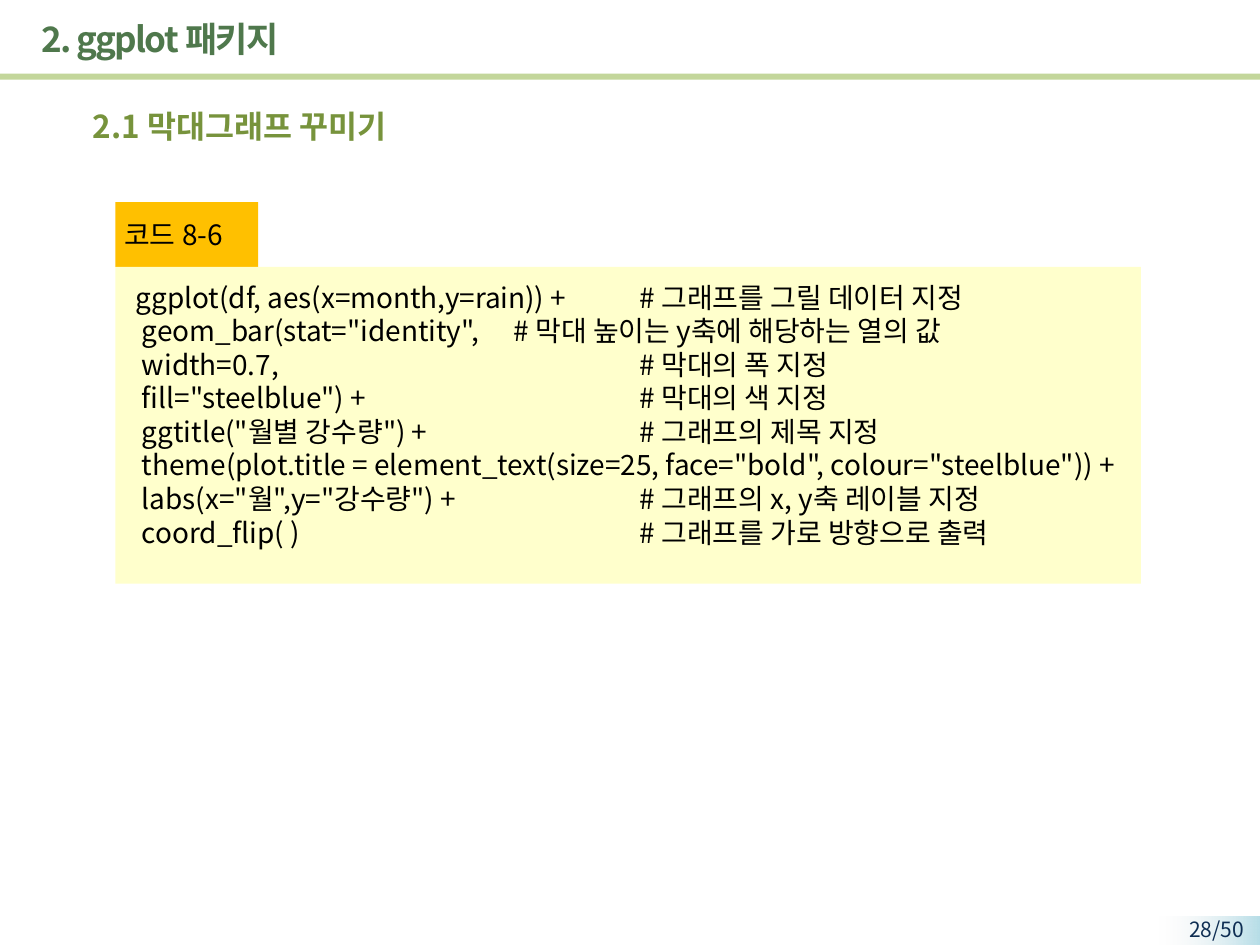
from pptx import Presentation
from pptx.dml.color import RGBColor
from pptx.enum.shapes import MSO_SHAPE
from pptx.enum.text import MSO_ANCHOR, PP_ALIGN
from pptx.oxml import parse_xml
from pptx.oxml.ns import nsdecls, qn
from pptx.util import Pt

FONT = "Noto Sans CJK KR"
BLACK = RGBColor(0x00, 0x00, 0x00)
TITLE_GREEN = RGBColor(0x4F, 0x78, 0x4C)
HEADING_GREEN = RGBColor(0x77, 0x93, 0x3C)
RULE_GREEN = RGBColor(0xC3, 0xD6, 0x9B)
ORANGE = RGBColor(0xFF, 0xC0, 0x00)
CREAM = RGBColor(0xFF, 0xFF, 0xCC)
NAVY = RGBColor(0x0F, 0x2E, 0x53)
PALE_BLUE = RGBColor(0xB7, 0xDE, 0xE8)
PALE_GREY = RGBColor(0xF2, 0xF2, 0xF2)

LINE_FACTOR = 1.2
NEAR_TAB, FAR_TAB = 216, 288
CODE_LINES = [
    ("ggplot(df, aes(x=month,y=rain)) +", "# 그래프를 그릴 데이터 지정", FAR_TAB),
    (' geom_bar(stat="identity",', "# 막대 높이는 y축에 해당하는 열의 값", NEAR_TAB),
    (" width=0.7,", "# 막대의 폭 지정", FAR_TAB),
    (' fill="steelblue") +', "# 막대의 색 지정", FAR_TAB),
    (' ggtitle("월별 강수량") +', "# 그래프의 제목 지정", FAR_TAB),
    (' theme(plot.title = element_text(size=25, face="bold", colour="steelblue")) +', "", None),
    (' labs(x="월",y="강수량") +', "# 그래프의 x, y축 레이블 지정", FAR_TAB),
    (" coord_flip( )", "# 그래프를 가로 방향으로 출력", FAR_TAB),
]


def write_line(para, text, size, color, bold=False, align=PP_ALIGN.LEFT, tab=None, spacing=None):
    """Fill one paragraph with a formatted span of text."""
    para.alignment = align
    para.line_spacing = Pt(size * LINE_FACTOR)
    if tab:
        para._p.get_or_add_pPr().append(parse_xml(
            f'<a:tabLst {nsdecls("a")}><a:tab pos="{Pt(tab)}" algn="l"/></a:tabLst>'))
    span = para.add_run()
    span.text = text
    span.font.name, span.font.size, span.font.bold = FONT, Pt(size), bold
    span.font.color.rgb = color
    properties = span._r.get_or_add_rPr()
    properties.find(qn("a:latin")).addnext(
        parse_xml(f'<a:ea {nsdecls("a")} typeface="{FONT}"/>'))
    if spacing is not None:
        properties.set("spc", str(spacing * 100))


def add_text(page, area, text, wrap=True, **style):
    """Add a text box holding one formatted paragraph."""
    frame = page.shapes.add_textbox(*map(Pt, area)).text_frame
    frame.word_wrap = wrap
    write_line(frame.paragraphs[0], text, **style)
    return frame


def add_block(page, area, color=None):
    """Add a rectangle without outline or shadow."""
    block = page.shapes.add_shape(MSO_SHAPE.RECTANGLE, *map(Pt, area))
    block.shadow.inherit = False
    block.line.fill.background()
    if color is not None:
        block.fill.solid()
        block.fill.fore_color.rgb = color
    return block


def add_header(page, left, top, width, height):
    """Place the slide title above a full-width green rule."""
    add_block(page, (left, top + height - 3.5, width, 3.5), RULE_GREEN)
    title = page.shapes.title
    title.left, title.top = Pt(left + 16.5), Pt(top + 3)
    title.width, title.height = Pt(612.5), Pt(37.5)
    title.text_frame.vertical_anchor = MSO_ANCHOR.MIDDLE
    write_line(title.text_frame.paragraphs[0], "2. ggplot 패키지", size=20,
               color=TITLE_GREEN, bold=True, spacing=-1)


def add_code_panel(page, left, top, width, height):
    """Place the code label tab and the listing panel below it."""
    tab_height = 37
    add_block(page, (left, top, 81.5, tab_height), ORANGE)
    add_block(page, (left, top + tab_height, width, height - tab_height), CREAM)
    style = dict(size=16, color=BLACK)
    add_text(page, (left - 2, top + 5, 77, 26.5), "코드 8-6", wrap=False, **style)
    listing = page.shapes.add_textbox(
        Pt(left + 4.5), Pt(top + 41), Pt(576), Pt(163)).text_frame
    listing.word_wrap = True
    for index, (code, comment, tab) in enumerate(CODE_LINES):
        para = listing.add_paragraph() if index else listing.paragraphs[0]
        write_line(para, f"{code}\t{comment}" if comment else code, tab=tab, **style)


def add_page_number(page, left, top, width, height):
    """Place the page number over a strip that fades out to the left."""
    strip = add_block(page, (left, top, width, height))
    strip.fill.gradient()
    strip.fill.gradient_angle = 180
    for stop, color in zip(strip.fill.gradient_stops, (PALE_BLUE, PALE_GREY)):
        stop.color.rgb = color
    faded = list(strip._element.spPr.iter(qn("a:srgbClr")))[-1]
    faded.append(parse_xml(f'<a:alpha {nsdecls("a")} val="0"/>'))
    add_text(page, (left - 11, top - 3.5, 66.5, 16.5), "28/50", size=12, color=NAVY,
             align=PP_ALIGN.RIGHT)


def main():
    """Build the slide and save the deck."""
    deck = Presentation()
    deck.slide_width, deck.slide_height = Pt(720), Pt(540)
    page = deck.slides.add_slide(deck.slide_layouts[5])
    add_page_number(page, 662.5, 523.5, 57.5, 17)
    add_header(page, 0, 0, 720, 45.5)
    heading = add_text(page, (34, 57.5, 673, 446.5), "2.1 막대그래프 꾸미기", size=18,
                       color=HEADING_GREEN, bold=True)
    heading.margin_left = Pt(19)
    add_code_panel(page, 66, 115.5, 586, 218)
    deck.save("out.pptx")


if __name__ == "__main__":
    main()
